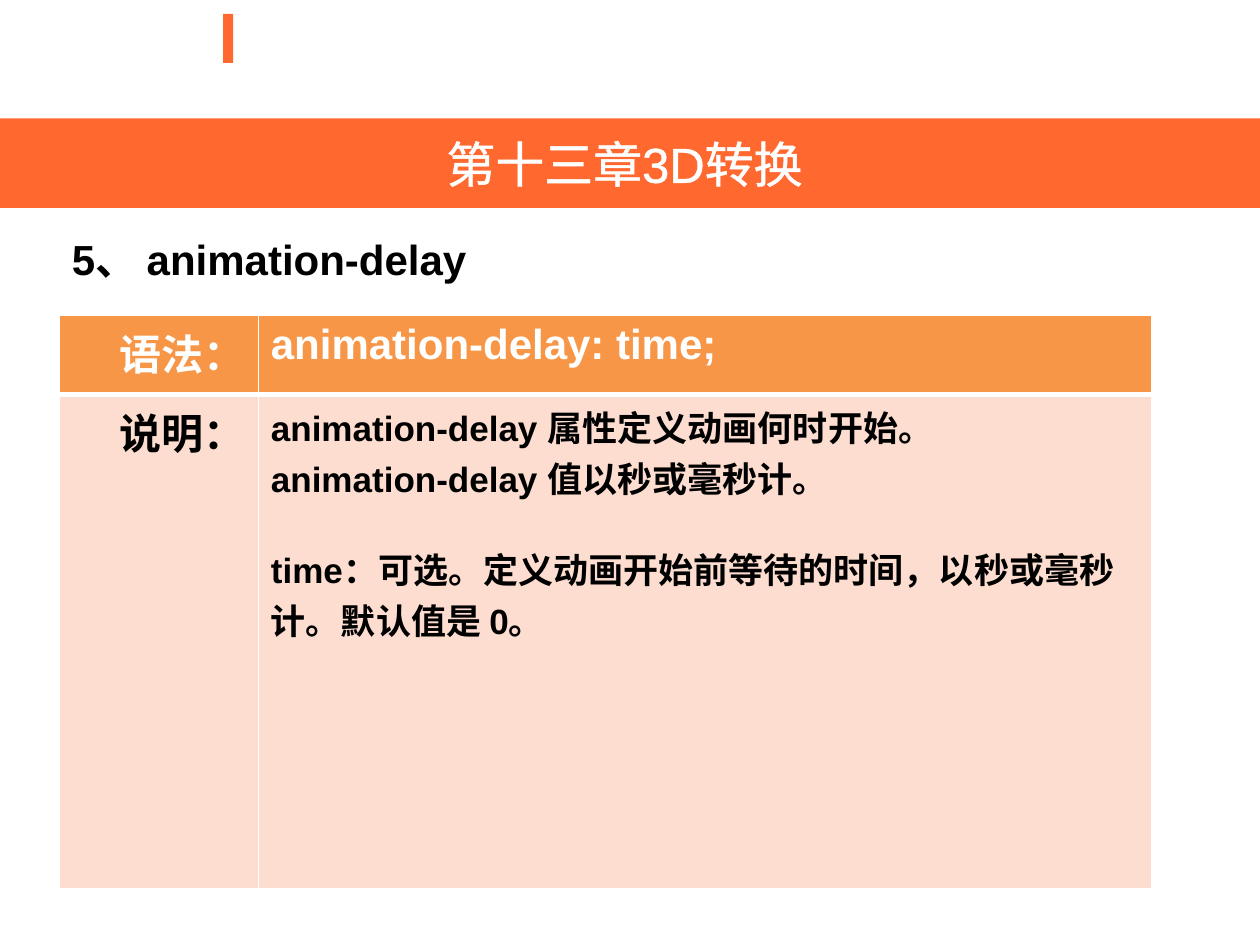
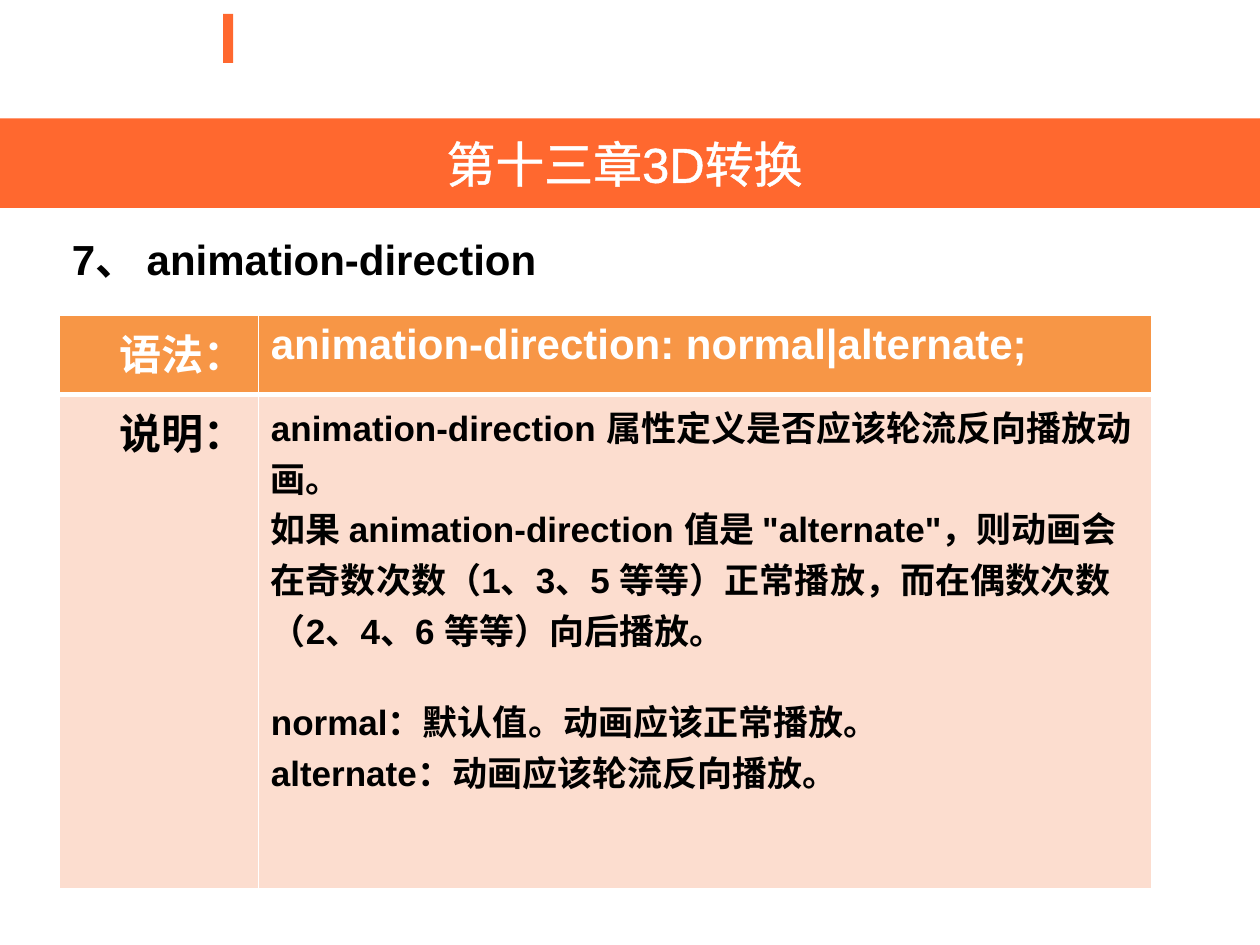
from lxml.etree import SubElement
from pptx import Presentation
from pptx.dml.color import RGBColor
from pptx.enum.shapes import MSO_SHAPE
from pptx.enum.text import MSO_ANCHOR, PP_ALIGN
from pptx.oxml.ns import qn
from pptx.util import Inches, Pt

ORANGE, AMBER, PEACH = "FF682F", "F79646", "FCDDCF"
WHITE, BLACK = "FFFFFF", "000000"

CHAPTER = "第十三章3D转换 "
ACCENT_BOX = (1.77, 0.11, 0.08, 0.39)
BAND_BOX = (0, 0.94, 10, 0.71)
HEADING_BOX = (0.47, 1.8, 9.06, 0.5)
TABLE_BOX = (0.47, 2.5, 8.67, 4.55)
LABEL_WIDTH, SYNTAX_HEIGHT = 1.58, 0.63

BAND_TEXT = {"size": Pt(28), "name": "Arial", "bold": False}
LARGE_TEXT = {"size": Pt(24), "name": "Arial", "bold": True}
BODY_TEXT = {**LARGE_TEXT, "size": Pt(20)}
GROUP_GAP = Pt(23)

# Each description is a list of groups of paragraphs
PROPERTIES = [
    {
        "heading": "5、 animation-delay",
        "syntax": "animation-delay: time;",
        "description": [
            ["animation-delay 属性定义动画何时开始。",
             "animation-delay 值以秒或毫秒计。"],
            ["time：可选。定义动画开始前等待的时间，以秒或毫秒计。默认值是 0。"],
        ],
    },
    {
        "heading": "7、 animation-direction",
        "syntax": "animation-direction: normal|alternate;",
        "description": [
            ["animation-direction 属性定义是否应该轮流反向播放动画。",
             "如果 animation-direction 值是 \"alternate\"，则动画会在奇数次数"
             "（1、3、5 等等）正常播放，而在偶数次数（2、4、6 等等）向后播放。"],
            ["normal：默认值。动画应该正常播放。",
             "alternate：动画应该轮流反向播放。"],
        ],
    },
]


def rgb(color):
    return RGBColor.from_string(color)


def set_fill(target, color):
    target.fill.solid()
    target.fill.fore_color.rgb = rgb(color)


def write(paragraph, text, style, color, align=PP_ALIGN.LEFT):
    paragraph.alignment = align
    run = paragraph.add_run()
    run.text = text
    for attribute, value in style.items():
        setattr(run.font, attribute, value)
    run.font.color.rgb = rgb(color)
    return run


def add_line(parent, tag, color, width, index):
    line = SubElement(parent, qn(tag), w=str(Pt(width)))
    SubElement(SubElement(line, qn("a:solidFill")), qn("a:srgbClr"), val=color)
    parent.insert(index, line)


def add_block(slide, box):
    block = slide.shapes.add_shape(MSO_SHAPE.RECTANGLE, *map(Inches, box))
    block.shadow.inherit = False
    set_fill(block, ORANGE)
    block.line.fill.background()
    return block


def add_chapter_band(slide, box):
    band = add_block(slide, box)
    band.text_frame.vertical_anchor = MSO_ANCHOR.MIDDLE
    run = write(band.text_frame.paragraphs[0], CHAPTER, BAND_TEXT, WHITE,
                PP_ALIGN.CENTER)
    add_line(run.font._element, "a:ln", WHITE, 1.45, 0)


def set_heading(slide, box, text):
    heading = slide.shapes.title
    heading.left, heading.top, heading.width, heading.height = map(Inches, box)
    heading.text_frame.vertical_anchor = MSO_ANCHOR.TOP
    heading.text_frame.word_wrap = True
    write(heading.text_frame.paragraphs[0], text, LARGE_TEXT, BLACK)


def format_cell(cell, fill, top, bottom):
    set_fill(cell, fill)
    properties = cell._tc.get_or_add_tcPr()
    borders = {"a:lnL": 1, "a:lnR": 1, "a:lnT": top, "a:lnB": bottom}
    for index, (side, width) in enumerate(borders.items()):
        add_line(properties, side, WHITE, width, index)


def write_description(cell, groups):
    frame = cell.text_frame
    paragraph = frame.paragraphs[0]
    for group_index, group in enumerate(groups):
        for line_index, text in enumerate(group):
            if group_index or line_index:
                paragraph = frame.add_paragraph()
            if group_index and not line_index:
                paragraph.space_before = GROUP_GAP
            write(paragraph, text, BODY_TEXT, BLACK)


def add_property_table(slide, box, syntax, description):
    _, _, width, height = box
    table = slide.shapes.add_table(2, 2, *map(Inches, box)).table
    for column, size in zip(table.columns, (LABEL_WIDTH, width - LABEL_WIDTH)):
        column.width = Inches(size)
    for row, size in zip(table.rows, (SYNTAX_HEIGHT, height - SYNTAX_HEIGHT)):
        row.height = Inches(size)

    # Label column, fills and borders
    rows = [("语法：", WHITE, AMBER, 1, 3), ("说明：", BLACK, PEACH, 3, 1)]
    for index, (label, color, fill, top, bottom) in enumerate(rows):
        for column in range(2):
            format_cell(table.cell(index, column), fill, top, bottom)
        write(table.cell(index, 0).text_frame.paragraphs[0], label,
              LARGE_TEXT, color, PP_ALIGN.RIGHT)

    # Content column
    write(table.cell(0, 1).text_frame.paragraphs[0], syntax, LARGE_TEXT, WHITE)
    write_description(table.cell(1, 1), description)


def add_property_slide(deck, heading, syntax, description):
    slide = deck.slides.add_slide(deck.slide_layouts.get_by_name("Title Only"))
    add_block(slide, ACCENT_BOX)
    add_chapter_band(slide, BAND_BOX)
    set_heading(slide, HEADING_BOX, heading)
    add_property_table(slide, TABLE_BOX, syntax, description)


def main():
    deck = Presentation()
    deck.slide_width, deck.slide_height = Inches(10), Inches(7.5)
    for content in PROPERTIES:
        add_property_slide(deck, **content)
    deck.save("out.pptx")


if __name__ == "__main__":
    main()
